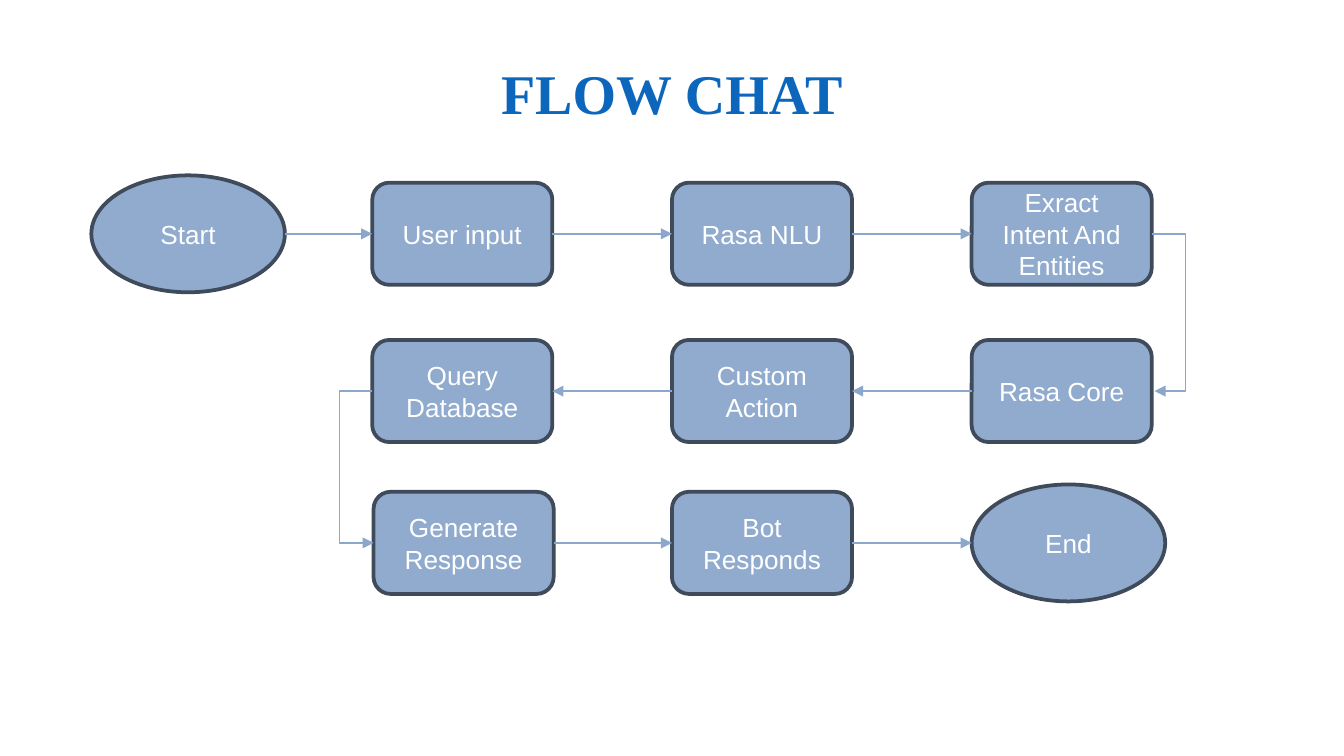
from lxml.etree import SubElement
from pptx import Presentation
from pptx.dml.color import RGBColor
from pptx.enum.shapes import MSO_CONNECTOR, MSO_SHAPE
from pptx.enum.text import MSO_ANCHOR, PP_ALIGN
from pptx.oxml.ns import qn
from pptx.util import Inches, Pt

COLORS = {"title": "0B66BC", "fill": "90ABCE", "outline": "3F4B5A",
          "arrow": "8BA7CB", "label": "FFFFFF"}

COLUMNS = [2.77 + 2.23 * i for i in range(3)]
ROWS = [1.74, 2.91, 4.04]  # vertical centre of each row
STEP_SIZE = (1.34, 0.76)
TERMINAL_SIZE = (1.44, 0.87)
DETOUR = 0.25  # how far a row change swings out sideways


def color(name):
    return RGBColor.from_string(COLORS[name])


def set_text(frame, text, *, size, fill, font="Arial", bold=False, inset=None):
    frame.word_wrap = True
    frame.vertical_anchor = MSO_ANCHOR.MIDDLE
    if inset is not None:
        frame.margin_left = frame.margin_right = Inches(inset)
        frame.margin_top = frame.margin_bottom = Inches(inset)
    paragraph = frame.paragraphs[0]
    paragraph.alignment = PP_ALIGN.CENTER
    run = paragraph.add_run()
    run.text = text
    run.font.name = font
    run.font.size = Pt(size)
    run.font.bold = bold
    run.font.color.rgb = color(fill)


def add_title(slide, text):
    title = slide.shapes.title
    title.left, title.top = Inches(1.63), Inches(0.37)
    title.width, title.height = Inches(6.74), Inches(0.63)
    set_text(title.text_frame, text, size=30, fill="title",
             font="Times New Roman", bold=True, inset=0.1)


def add_node(slide, text, left, middle, terminal=False):
    """Draw a flow node and return its left edge, right edge and middle."""
    kind = MSO_SHAPE.OVAL if terminal else MSO_SHAPE.ROUNDED_RECTANGLE
    width, height = TERMINAL_SIZE if terminal else STEP_SIZE
    node = slide.shapes.add_shape(kind, Inches(left), Inches(middle - height / 2),
                                  Inches(width), Inches(height))
    node.shadow.inherit = False
    node.fill.solid()
    node.fill.fore_color.rgb = color("fill")
    node.line.color.rgb = color("outline")
    node.line.width = Pt(2)
    set_text(node.text_frame, text, size=14, fill="label")
    return left, left + width, middle


def add_arrow(slide, start, end, kind=MSO_CONNECTOR.STRAIGHT):
    arrow = slide.shapes.add_connector(kind, *map(Inches, start + end))
    arrow.line.color.rgb = color("arrow")
    arrow.line.width = Pt(0.75)
    SubElement(arrow.line._get_or_add_ln(), qn("a:tailEnd"), type="triangle")
    SubElement(arrow._element.spPr, qn("a:effectLst"))
    return arrow


def add_detour(slide, start, end, offset):
    """Join two rows with an elbow that swings sideways by offset."""
    elbow = add_arrow(slide, start, end, MSO_CONNECTOR.ELBOW)
    ratio = round(offset / (end[0] - start[0]) * 100000)
    guides = elbow._element.spPr.find(qn("a:prstGeom")).get_or_add_avLst()
    SubElement(guides, qn("a:gd"), name="adj1", fmla=f"val {ratio}")


def main():
    prs = Presentation()
    prs.slide_width = Inches(10)
    prs.slide_height = Inches(10) * 9 // 16  # widescreen
    slide = prs.slides.add_slide(prs.slide_layouts[5])
    add_title(slide, "FLOW CHAT")

    # Each row in reading order of the flow
    first, second, third = COLUMNS
    flow = [
        [("Start", 0.68, True), ("User input", first), ("Rasa NLU", second),
         ("Exract Intent And Entities", third)],
        [("Rasa Core", third), ("Custom Action", second),
         ("Query Database", first)],
        [("Generate Response", first + 0.01), ("Bot Responds", second),
         ("End", third, True)],
    ]
    placed = [[add_node(slide, text, left, middle, *terminal)
               for text, left, *terminal in row]
              for row, middle in zip(flow, ROWS)]

    # Arrows along the rows
    for row in placed:
        for (left, right, y), (next_left, next_right, _) in zip(row, row[1:]):
            if next_left > left:
                add_arrow(slide, (right, y), (next_left, y))
            else:
                add_arrow(slide, (left, y), (next_right, y))

    # Arrows from one row to the next
    extract, core = placed[0][-1], placed[1][0]
    query, generate = placed[1][-1], placed[2][0]
    add_detour(slide, extract[1:], (core[1] + 0.02, core[2]), DETOUR)
    add_detour(slide, (query[0], query[2]), (generate[0], generate[2]), -DETOUR)

    prs.save("out.pptx")


if __name__ == "__main__":
    main()
